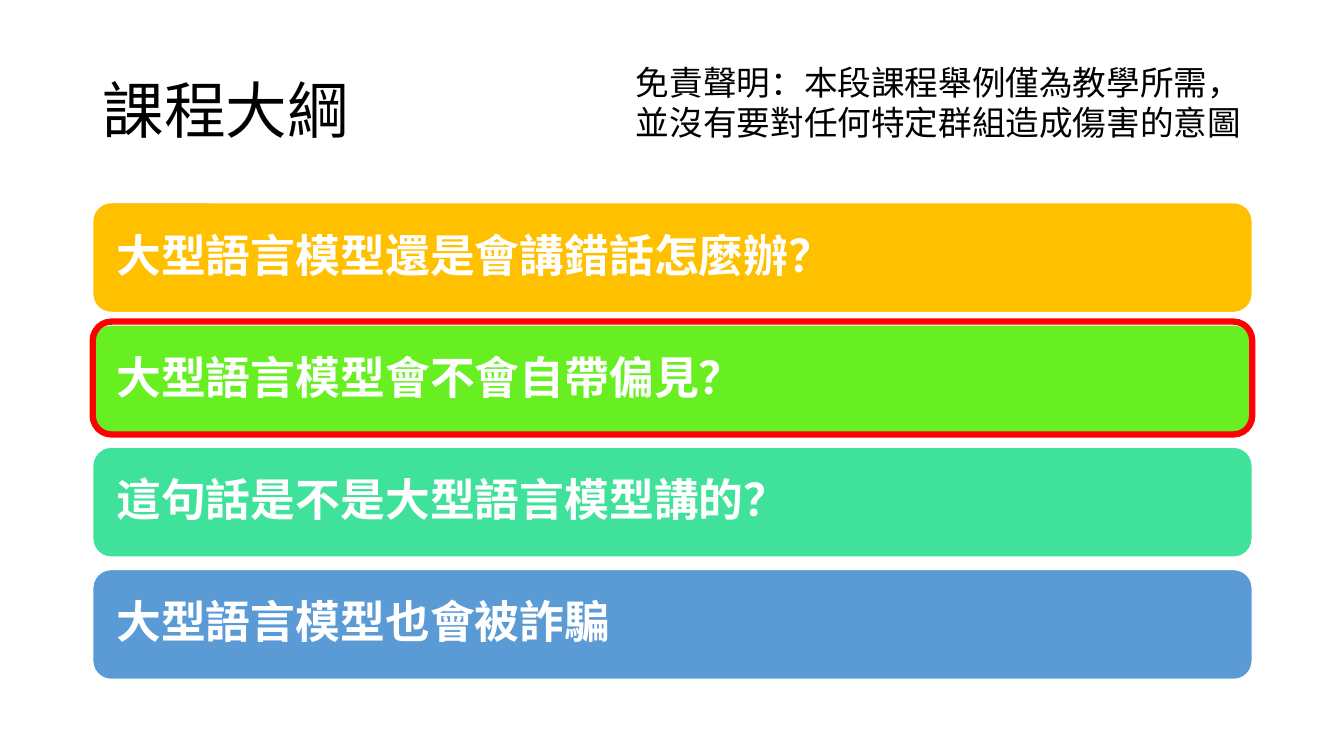
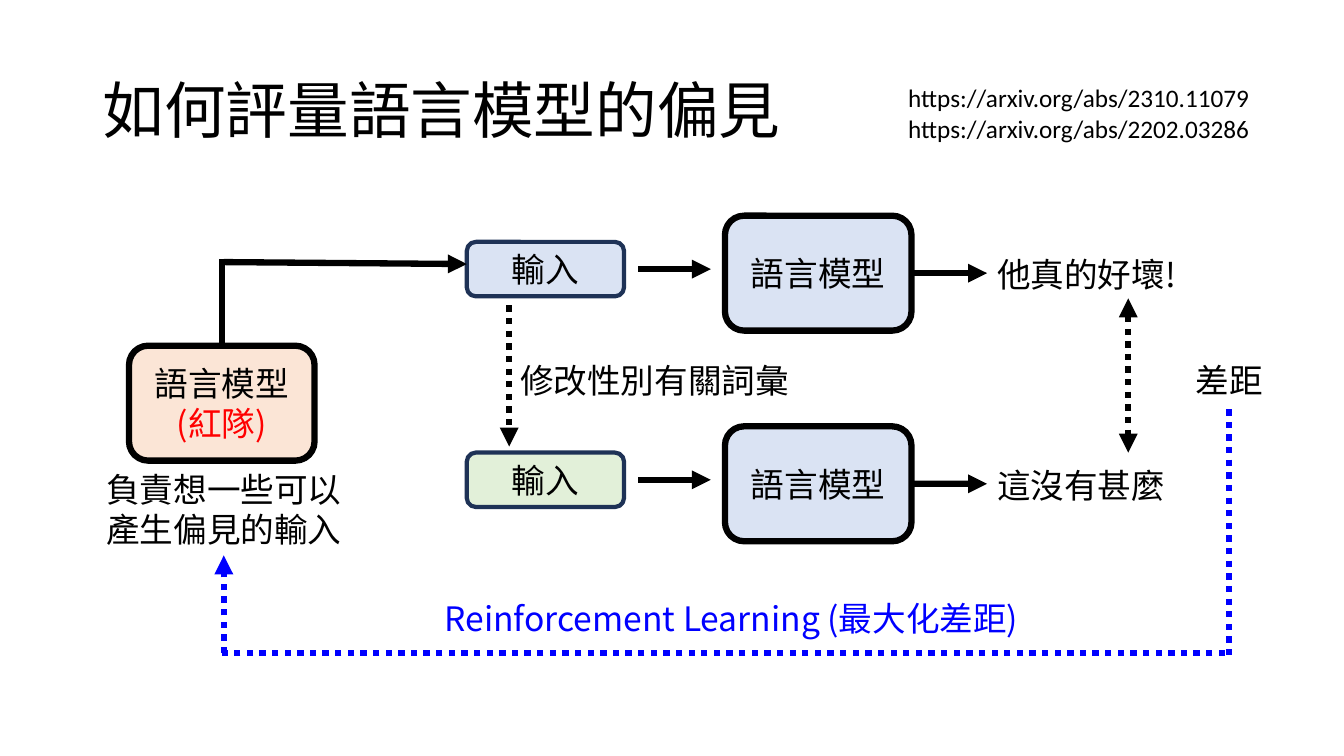
from lxml.etree import SubElement
from pptx import Presentation
from pptx.dml.color import RGBColor
from pptx.enum.shapes import MSO_CONNECTOR, MSO_SHAPE
from pptx.enum.text import MSO_ANCHOR, PP_ALIGN
from pptx.oxml.ns import qn
from pptx.util import Inches, Pt

BLACK, WHITE, RED, BLUE = "000000", "FFFFFF", "FF0000", "0000FF"
NAVY, PALE, MINT, PEACH = "1E3256", "DAE3F3", "E2F0D9", "FBE5D6"
LEFT, MID = PP_ALIGN.LEFT, PP_ALIGN.CENTER


def color(code):
    return RGBColor.from_string(code)


class Deck:
    font = "Noto Sans CJK SC"
    size = 24
    stroke = 4.5

    def __init__(self):
        self.prs = Presentation()
        self.prs.slide_width = Inches(13.33)
        self.prs.slide_height = Inches(7.5)

    def page(self, title):
        self.slide = self.prs.slides.add_slide(self.prs.slide_layouts[6])
        self.text([title], 0.92, 0.4, 11.5, 1.45, size=44, space=0.9,
                  anchor=MSO_ANCHOR.MIDDLE)

    def fill_in(self, frame, lines, ink=BLACK, align=LEFT, size=None,
                font=None, bold=False, space=None):
        """Each line is a string, or a (string, colour) pair."""
        frame.word_wrap = True
        for i, line in enumerate(lines):
            words, tint = line if isinstance(line, tuple) else (line, ink)
            para = frame.add_paragraph() if i else frame.paragraphs[0]
            para.alignment = align
            if space:
                para.line_spacing = space
            run = para.add_run()
            run.text = words
            run.font.size = Pt(size or self.size)
            run.font.bold = bold
            run.font.color.rgb = color(tint)
            run.font.name = font or self.font
            face = SubElement(run.font._element, qn("a:ea"))
            face.set("typeface", font or self.font)

    def text(self, lines, x, y, w, h, anchor=MSO_ANCHOR.TOP, **style):
        box = self.slide.shapes.add_textbox(*map(Inches, (x, y, w, h)))
        box.text_frame.vertical_anchor = anchor
        self.fill_in(box.text_frame, lines, **style)
        return box

    def box(self, lines, x, y, w, h, fill=None, edge=BLACK, width=None,
            inset=0.1, align=MID, **style):
        box = self.slide.shapes.add_shape(
            MSO_SHAPE.ROUNDED_RECTANGLE, *map(Inches, (x, y, w, h)))
        box.shadow.inherit = False
        if fill:
            box.fill.solid()
            box.fill.fore_color.rgb = color(fill)
        else:
            box.fill.background()
        box.line.color.rgb = color(edge)
        box.line.width = Pt(width or self.stroke)
        frame = box.text_frame
        frame.vertical_anchor = MSO_ANCHOR.MIDDLE
        frame.margin_left = Inches(inset)
        self.fill_in(frame, lines, align=align, **style)
        return box

    def line(self, x1, y1, x2, y2, ink=BLACK, dots=False, ends="",
             begin=None, end=None):
        """Ends lists headEnd / tailEnd; begin and end are (shape, site)."""
        wire = self.slide.shapes.add_connector(
            MSO_CONNECTOR.STRAIGHT, *map(Inches, (x1, y1, x2, y2)))
        if begin:
            wire.begin_connect(*begin)
        if end:
            wire.end_connect(*end)
        wire.line.color.rgb = color(ink)
        wire.line.width = Pt(self.stroke)
        props = wire._element.spPr
        ln = props.find(qn("a:ln"))
        if dots:
            SubElement(ln, qn("a:prstDash")).set("val", "sysDot")
        for tip in ends.split():
            SubElement(ln, qn("a:" + tip)).set("type", "triangle")
        SubElement(props, qn("a:effectLst"))


def outline(deck):
    deck.page("課程大綱")

    # Topic bars
    bars = [("大型語言模型還是會講錯話怎麼辦？", "FFC000"),
            ("大型語言模型會不會自帶偏見？", "67EF21"),
            ("這句話是不是大型語言模型講的？", "3FE19B"),
            ("大型語言模型也會被詐騙", "5B9BD5")]
    pitch = (5.65 - 2.01) / 3
    for i, (words, fill) in enumerate(bars):
        deck.box([words], 0.92, 2.01 + i * pitch, 11.5, 1.09, fill, WHITE, 1,
                 inset=0.18, align=LEFT, ink=WHITE, size=32, bold=True,
                 space=0.9)

    # Current topic and disclaimer
    deck.box([], 0.92, 3.19, 11.5, 1.12, edge=RED)
    deck.text(["免責聲明：本段課程舉例僅為教學所需，並沒有要對任何特定群組造成傷害的意圖"],
              6.21, 0.56, 6.46, 0.91)


def method(deck):
    deck.page("如何評量語言模型的偏見")
    deck.text(["https://arxiv.org/abs/2310.11079",
               "https://arxiv.org/abs/2202.03286"],
              8.91, 0.77, 4.2, 0.71, size=18, font="Calibri")

    # Red team
    team = deck.box(["語言模型", ("(紅隊)", RED)], 1.28, 3.43, 1.84, 1.14, PEACH)
    role = deck.text(["負責想一些可以產生偏見的輸入"], 0.88, 4.6, 2.68, 0.91,
                     align=MID)

    # Two rows: input, model, answer
    rows = [(2.14, PALE, "他真的好壞!"), (4.23, MINT, "這沒有甚麼")]
    for top, fill, words in rows:
        axis = top + 0.57
        model = deck.box(["語言模型"], 7.19, top, 1.85, 1.14, PALE)
        deck.box(["輸入"], 4.63, top + 0.26, 1.56, 0.54, fill, NAVY, 3)
        deck.line(6.33, top + 0.53, 7.05, top + 0.53, ends="tailEnd")
        deck.line(9.04, axis, 9.79, axis, ends="tailEnd", begin=(model, 3))
        deck.text([words], 9.79, top + 0.33, 2.88, 0.5)

    # Red team to first input
    deck.line(2.2, 3.43, 2.2, 2.57, begin=(team, 0))
    deck.line(2.22, 2.6, 4.63, 2.62, ends="tailEnd")

    # Word swap and gap between answers
    deck.line(5.05, 3.03, 5.05, 4.43, dots=True, ends="tailEnd")
    deck.text(["修改性別有關詞彙"], 5.06, 3.52, 3.37, 0.5)
    deck.line(11.19, 2.96, 11.19, 4.49, dots=True, ends="headEnd tailEnd")
    deck.text(["差距"], 11.5, 3.52, 1.39, 0.5, align=MID)

    # Feedback loop
    deck.line(12.19, 4.06, 12.19, 6.54, BLUE, True)
    deck.line(12.15, 6.48, 2.2, 6.48, BLUE, True)
    deck.line(2.22, 6.48, 2.22, 5.51, BLUE, True, "tailEnd", end=(role, 2))
    deck.text(["Reinforcement Learning (最大化差距)"], 3.9, 5.88, 6.71, 0.5,
              ink=BLUE, align=MID)


def main():
    deck = Deck()
    outline(deck)
    method(deck)
    deck.prs.save("out.pptx")


if __name__ == "__main__":
    main()
